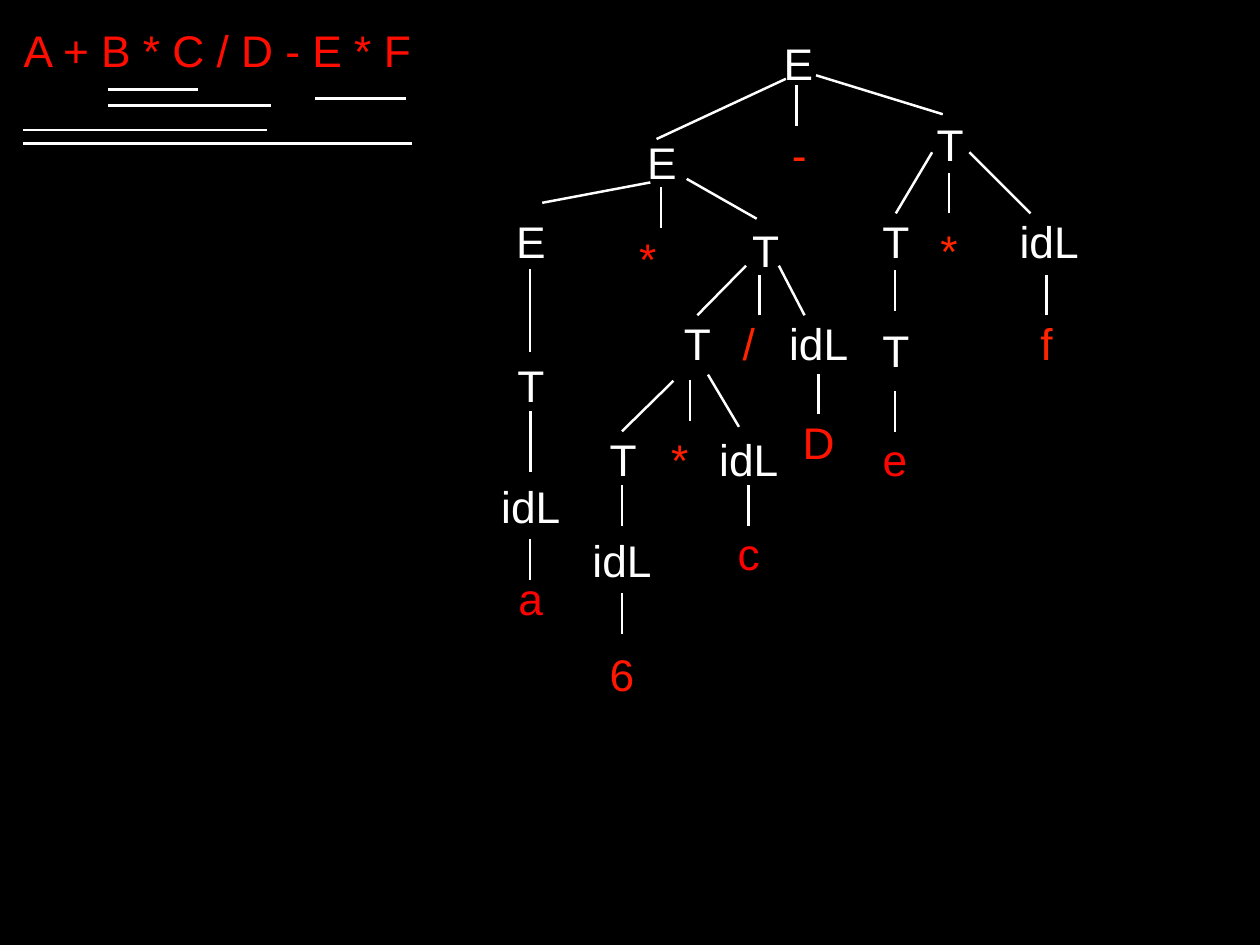
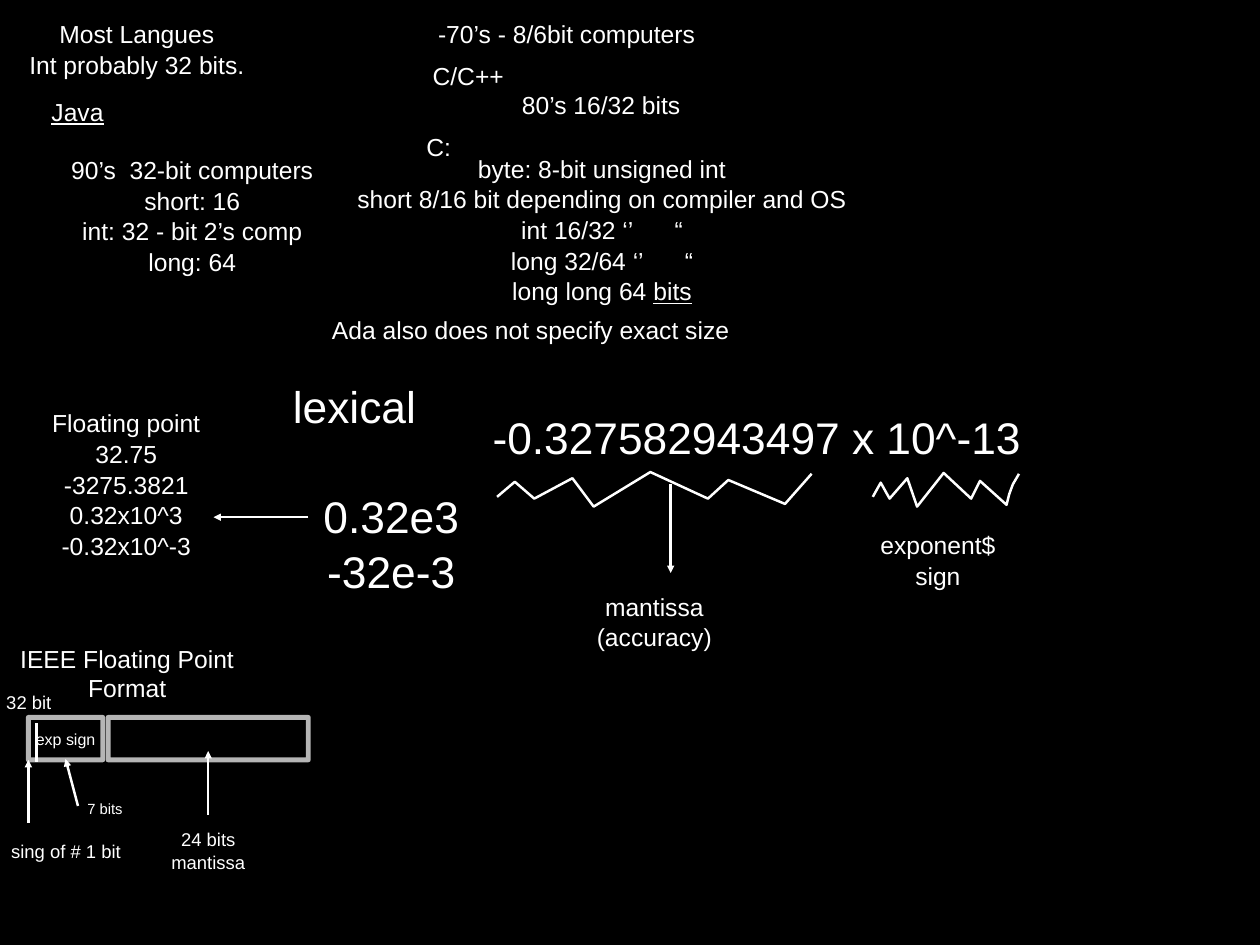
from pptx import Presentation
from pptx import util as u
from pptx.dml.color import RGBColor
from pptx.enum import shapes, text
from pptx.oxml import parse_xml
from pptx.oxml.ns import nsdecls, qn

WHITE, BLACK, FONT = "FFFFFF", "000000", "Arial"
BIG, MID, SMALL = 36, 20, 15
STUB, PAD, ROW = 0.46, 0.06, 0.71

WIDTHS = {"E": 0.43, "T": 0.4, "idL": 0.82, "*": 0.32, "-": 0.29, "/": 0.26,
          "f": 0.26, "D": 0.49, "e": 0.4, "c": 0.4, "a": 0.4, "6": 0.4}
NODES = {
    "E": [(5.98, 2.36), (7.46, 1.47), (9, 0.35)],
    "T": [(10.1, 3.59), (5.98, 3.99), (8.63, 2.46), (10.1, 2.36),
          (10.71, 1.27), (7.86, 3.51), (7.02, 4.83)],
    "idL": [(7.02, 5.96), (5.99, 5.36), (8.45, 4.83), (9.24, 3.51), (11.84, 2.36)],
}
LEAVES = [
    ("*", 10.71, 2.46, "FF2600"), ("e", 10.1, 4.83, "FF0500"),
    ("f", 11.81, 3.51, "FF2400"), ("*", 7.31, 2.55, "FF1400"),
    ("/", 8.45, 3.51, "FF2400"), ("D", 9.24, 4.63, "FF1400"),
    ("*", 7.67, 4.83, "FF1E00"), ("c", 8.45, 5.89, "FF0003"),
    ("a", 5.99, 6.39, "FF0003"), ("6", 7.02, 7.25, "FF1700"),
    ("-", 9.02, 1.38, "FF2400"),
]
RULES = [(1.22, 2.24, 1.01), (1.22, 3.06, 1.19), (3.56, 4.58, 1.11),
         (0.26, 3.01, 1.47), (0.26, 4.65, 1.62)]
STUBS = [(5.98, 6.09), (8.99, 0.96), (10.71, 1.95), (10.1, 3.05), (10.1, 4.42),
         (11.81, 3.1), (7.46, 2.11), (8.57, 3.1), (9.24, 4.22), (7.79, 4.29),
         (8.45, 5.48), (7.02, 5.48), (7.02, 6.7)]
EDGES = [
    (7.41, 1.57, 8.87, 0.89), (5.98, 3.97, 5.98, 3.04), (6.12, 2.29, 7.34, 2.06),
    (5.99, 5.33, 5.99, 4.64), (10.64, 1.29, 9.21, 0.85), (11.63, 2.41, 10.94, 1.72),
    (10.11, 2.41, 10.52, 1.72), (8.54, 2.47, 7.75, 2.02), (7.87, 3.56, 8.42, 3),
    (9.08, 3.56, 8.79, 3), (7.02, 4.87, 7.6, 4.3), (8.34, 4.82, 7.99, 4.23),
]

NOTES = [
    (0.24, 0.16, 2.61, 0.78, MID, ["Most Langues", "Int probably 32 bits."]),
    (0.52, 1.04, 0.71, 0.44, MID, ["Java"]),
    (0.69, 1.71, 2.96, 1.44, MID, ["90’s  32-bit computers", "short: 16",
                                   "int: 32 - bit 2’s comp", "long: 64"]),
    (4.87, 0.16, 3.05, 0.44, MID, ["-70’s - 8/6bit computers"]),
    (4.8, 0.63, 0.97, 0.44, MID, ["C/C++"]),
    (5.83, 0.96, 1.91, 0.44, MID, ["80’s 16/32 bits"]),
    (4.71, 1.44, 0.48, 0.44, MID, ["C:"]),
    (3.88, 1.53, 5.83, 2.11, MID, [
        "byte: 8-bit unsigned int", "short 8/16 bit depending on compiler and OS",
        ("int 16/32 ‘’", " ", "“"), ("long 32/64 ‘’", " ", "“"),
        ("long long 64 ", "bits")]),
    (3.65, 3.5, 4.68, 0.44, MID, ["Ada also does not specify exact size"]),
    (0.48, 4.57, 1.89, 1.78, MID, ["Floating point", "32.75", "-3275.3821",
                                   "0.32x10^3", "-0.32x10^-3"]),
    (3.23, 4.23, 1.54, ROW, BIG, ["lexical"]),
    (3.52, 5.47, 1.79, 1.31, BIG, ["0.32e3", "-32e-3"]),
    (5.45, 4.58, 6.18, ROW, BIG, ["-0.327582943497 x 10^-13"]),
    (6.65, 6.63, 1.47, 0.78, MID, ["mantissa\v(accuracy)"]),
    (9.83, 5.93, 1.51, 0.78, MID, ["exponent$", "sign"]),
    (0, 7.75, 0.65, 0.36, SMALL, ["32 bit"]),
    (0.33, 8.18, 0.82, 0.33, 13, ["exp sign"]),
    (0.05, 9.43, 1.39, 0.36, SMALL, ["sing of # 1 bit"]),
    (0.92, 8.98, 0.53, 0.31, 12, ["7 bits"]),
    (1.87, 9.3, 0.96, 0.61, SMALL, ["24 bits", "mantissa"]),
]
HEADING = (0.16, 7.21, 2.55, 0.78, MID, ["IEEE Floating Point Format"])
UNDER = {"Java", "bits"}
FIELDS = [(0.32, 0.84), (1.22, 2.26)]
ARROWS = [(3.48, 5.84, 2.41, 5.84), (7.57, 5.47, 7.57, 6.47), (0.32, 9.29, 0.32, 8.58),
          (0.88, 9.1, 0.74, 8.57), (2.35, 9.2, 2.35, 8.48)]
DIVIDER = (0.41, 8.6, 0.41, 8.16)
ZIGZAGS = [
    [(5.61, 5.61), (5.81, 5.44), (6.03, 5.63), (6.46, 5.4), (6.7, 5.72),
     (7.34, 5.33), (7.99, 5.63), (8.22, 5.42), (8.86, 5.69), (9.16, 5.35)],
    [(9.85, 5.61), (9.94, 5.45), (10.04, 5.63), (10.24, 5.4), (10.35, 5.72),
     (10.65, 5.34), (10.96, 5.63), (11.06, 5.43), (11.36, 5.7), (11.39, 5.58),
     (11.43, 5.47), (11.5, 5.35)],
]


def paint(fill, tone):
    fill.solid()
    fill.fore_color.rgb = RGBColor.from_string(tone)


def write(slide, x, y, w, h, size, lines, tone=WHITE, wrap=False):
    frame = slide.shapes.add_textbox(*map(u.Inches, (x, y, w, h))).text_frame
    frame.word_wrap = wrap
    frame.auto_size = text.MSO_AUTO_SIZE.SHAPE_TO_FIT_TEXT
    frame.vertical_anchor = text.MSO_ANCHOR.MIDDLE
    frame.margin_left = frame.margin_right = u.Inches(PAD)
    frame.margin_top = frame.margin_bottom = u.Inches(PAD)
    for i, line in enumerate(lines):
        para = frame.add_paragraph() if i else frame.paragraphs[0]
        para.alignment = text.PP_ALIGN.CENTER
        if len(lines) > 1:
            para.line_spacing = 1.04
        if isinstance(line, str):
            para.text = line
        else:
            for part in line:
                para.add_run().text = part
        for run in para.runs:
            font = run.font
            font.name, font.size = FONT, u.Pt(size)
            paint(font.fill, tone)
            if run.text in UNDER:
                font.underline = True
            if run.text == " ":
                font._element.set("spc", "2780")


def stroke(line, width=2):
    paint(line.fill, WHITE)
    line.width = u.Pt(width)


def join(slide, x1, y1, x2, y2, arrow=False):
    link = slide.shapes.add_connector(
        shapes.MSO_CONNECTOR.STRAIGHT, *map(u.Inches, (x1, y1, x2, y2)))
    stroke(link.line)
    if arrow:
        link.line._get_or_add_ln().append(
            parse_xml(f'<a:tailEnd {nsdecls("a")} type="triangle"/>'))
    link._element.spPr.append(parse_xml(f'<a:effectLst {nsdecls("a")}/>'))


def zigzag(slide, points):
    first, *rest = [tuple(map(u.Inches, p)) for p in points]
    pen = slide.shapes.build_freeform(*first)
    pen.add_line_segments(rest, close=False)
    shape = pen.convert_to_shape()
    shape.fill.background()
    shape.shadow.inherit = False
    stroke(shape.line)


def field(slide, x, w):
    box = slide.shapes.add_shape(
        shapes.MSO_SHAPE.RECTANGLE, *map(u.Inches, (x, 8.1, w, 0.48)))
    box.fill.background()
    box.shadow.inherit = False
    stroke(box.line, 4)
    tone = box.line._get_or_add_ln().find(".//" + qn("a:srgbClr"))
    tone.append(parse_xml(f'<a:alpha {nsdecls("a")} val="71000"/>'))


def node(slide, label, x, y, tone=WHITE):
    w = WIDTHS[label]
    write(slide, x - w / 2, y, w, ROW, BIG, [label], tone)


deck = Presentation()
deck.slide_width, deck.slide_height = u.Inches(14.22), u.Inches(10.67)
paint(deck.slide_master.background.fill, BLACK)
tree, bits = [deck.slides.add_slide(deck.slide_layouts[6]) for _ in range(2)]

write(tree, 0.2, 0.21, 4.51, ROW, BIG, ["A + B * C / D - E * F"], "FF0D00")
for x1, x2, y in RULES:
    join(tree, x1, y, x2, y)
for label, spots in NODES.items():
    for x, y in spots:
        node(tree, label, x, y)
for leaf in LEAVES:
    node(tree, *leaf)
for x, y in STUBS:
    join(tree, x, y + STUB, x, y)
for edge in EDGES:
    join(tree, *edge)

for x, w in FIELDS:
    field(bits, x, w)
for note in NOTES:
    write(bits, *note)
write(bits, *HEADING, wrap=True)
for points in ZIGZAGS:
    zigzag(bits, points)
for arrow in ARROWS:
    join(bits, *arrow, arrow=True)
join(bits, *DIVIDER)

deck.save("out.pptx")
